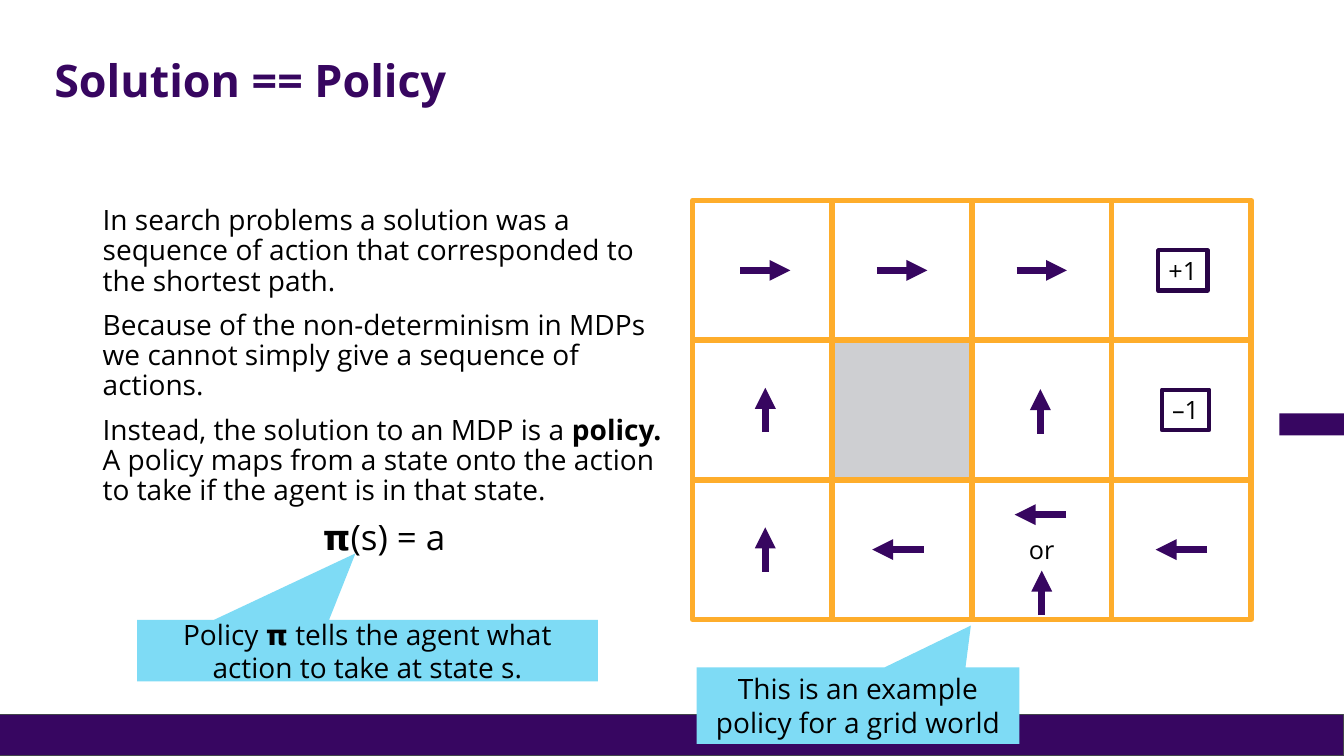
from pptx import Presentation
from pptx import util as u
from pptx.dml.color import RGBColor
from pptx.enum import shapes, text
from pptx.oxml.ns import qn
from lxml import etree

WIDTH, HEIGHT = 13.33, 7.5
FONT = "Open Sans"
COLOURS = {
    "purple": "370660", "bar": "370661", "bar_line": "43454B",
    "orange": "FEAD2B", "grey": "CECFD2", "white": "FFFFFF",
    "frame": "290447", "blue": "7EDBF5", "black": "000000",
}

TITLE = "Solution == Policy"
# Each paragraph is a list of (text, bold) runs.
BODY = [
    [("In search problems a solution was a sequence of action that "
      "corresponded to the shortest path.", False)],
    [("Because of the non-determinism in MDPs we cannot simply give a "
      "sequence of actions.", False)],
    [("Instead, the solution to an MDP is a ", False), ("policy.", True),
     (" A policy maps from a state onto the action to take if the agent "
      "is in that state.", False)],
]
FORMULA = [("𝝿(s) = a", False)]

# Left, top, width, height; pointer tip as shares of the size; wording
CALLOUTS = [
    ((1.36, 6.15, 4.57, 0.61), (-0.026, -1.583),
     "Policy 𝝿 tells the agent what action to take at state s."),
    ((6.91, 6.62, 3.2, 0.76), (0.35, -1.045),
     "This is an example policy for a grid world"),
]

GRID_LEFT, GRID_TOP, CELL = 6.87, 1.99, 1.385
COLUMNS, ROWS = 4, 3
BLOCKED = (1, 1)
DIRECTIONS = {"right": (0.5, 0), "left": (-0.51, 0), "up": (0, -0.44)}

# Centres below are in grid units: column, row.
POLICY = [
    (0.52, 0.5, "right"), (1.5, 0.5, "right"), (2.5, 0.5, "right"),
    (0.52, 1.5, "up"), (2.49, 1.51, "up"),
    (0.52, 2.5, "up"), (1.47, 2.5, "left"), (3.5, 2.5, "left"),
    (2.49, 2.25, "left"), (2.5, 2.81, "up"),
]
# Column, row, width in inches, wording, framed
LABELS = [
    (3.51, 0.5, 0.49, "+1", True),
    (3.53, 1.5, 0.47, "–1", True),
    (2.5, 2.5, 0.46, "or", False),
]
LABEL_HEIGHT = 0.4

deck = Presentation()
deck.slide_width, deck.slide_height = u.Inches(WIDTH), u.Inches(HEIGHT)
page = deck.slides.add_slide(deck.slide_layouts[6])


def rgb(name):
    return RGBColor.from_string(COLOURS[name])


def inches(lengths):
    return [u.Inches(length) for length in lengths]


def grid_point(column, row):
    return GRID_LEFT + column * CELL, GRID_TOP + row * CELL


def add_block(place, fill, line=None, weight=0,
              kind=shapes.MSO_SHAPE.RECTANGLE):
    block = page.shapes.add_shape(kind, *inches(place))
    block.shadow.inherit = False
    block.fill.solid()
    block.fill.fore_color.rgb = rgb(fill)
    if line:
        block.line.color.rgb = rgb(line)
        block.line.width = u.Pt(weight)
    else:
        block.line.fill.background()
    return block


def write(box, paragraphs, size=20, colour="black", align="LEFT",
          anchor="TOP", wrap=True, spacing=1.0, before=0):
    """Fill a box with paragraphs, each a list of (text, bold) runs."""
    frame = box.text_frame
    frame.word_wrap = wrap
    frame.vertical_anchor = text.MSO_ANCHOR[anchor]
    for index, runs in enumerate(paragraphs):
        para = frame.add_paragraph() if index else frame.paragraphs[0]
        para.alignment = text.PP_ALIGN[align]
        para.line_spacing = spacing
        para.space_before = u.Pt(before if index else 0)
        for words, bold in runs:
            span = para.add_run()
            span.text = words
            span.font.name = FONT
            span.font.size = u.Pt(size)
            span.font.bold = bold
            span.font.color.rgb = rgb(colour)


def add_arrow(column, row, direction):
    x, y = grid_point(column, row)
    dx, dy = DIRECTIONS[direction]
    arrow = page.shapes.add_connector(
        shapes.MSO_CONNECTOR.STRAIGHT,
        *inches((x - dx / 2, y - dy / 2, x + dx / 2, y + dy / 2)))
    arrow.line.color.rgb = rgb("purple")
    arrow.line.width = u.Pt(5)
    etree.SubElement(arrow.line._get_or_add_ln(), qn("a:tailEnd"),
                     type="triangle")
    etree.SubElement(arrow._element.spPr, qn("a:effectLst"))


# Footer bar and side tab
add_block((0, 7.09, WIDTH, 0.41), "bar", "bar_line", 0.75)
add_block((12.69, 4.1, WIDTH - 12.69, 0.22), "bar")

title = page.shapes.add_textbox(*inches((0.44, 0.4, 11.98, 0.84)))
write(title, [[(TITLE, True)]], size=32, colour="purple",
      anchor="MIDDLE", spacing=0.9)

body = page.shapes.add_textbox(*inches((0.92, 2, 5.78, 4.76)))
write(body, BODY + [FORMULA], spacing=0.9, before=10)
formula = body.text_frame.paragraphs[-1]
formula.alignment = text.PP_ALIGN.CENTER
formula.runs[0].font.size = u.Pt(25)

# Grid world, with the blocked cell behind its neighbours
cells = [(column, row) for row in range(ROWS) for column in range(COLUMNS)]
for cell in sorted(cells, key=lambda cell: cell != BLOCKED):
    add_block((*grid_point(*cell), CELL, CELL),
              "grey" if cell == BLOCKED else "white", "orange", 4)

for column, row, width, words, framed in LABELS:
    x, y = grid_point(column, row)
    place = (x - width / 2, y - LABEL_HEIGHT / 2, width, LABEL_HEIGHT)
    if framed:
        label = add_block(place, "white", "frame", 3)
    else:
        label = page.shapes.add_textbox(*inches(place))
    write(label, [[(words, False)]], size=18, align="CENTER", wrap=False)

for step in POLICY:
    add_arrow(*step)

for place, tip, words in CALLOUTS:
    callout = add_block(place, "blue",
                        kind=shapes.MSO_SHAPE.ROUNDED_RECTANGULAR_CALLOUT)
    for index, share in enumerate((*tip, 0)):
        callout.adjustments[index] = share
    frame = callout.text_frame
    frame.margin_left = frame.margin_right = u.Inches(0.1)
    frame.margin_top = frame.margin_bottom = u.Inches(0.1)
    write(callout, [[(words, False)]], align="CENTER", anchor="MIDDLE")

deck.save("out.pptx")
